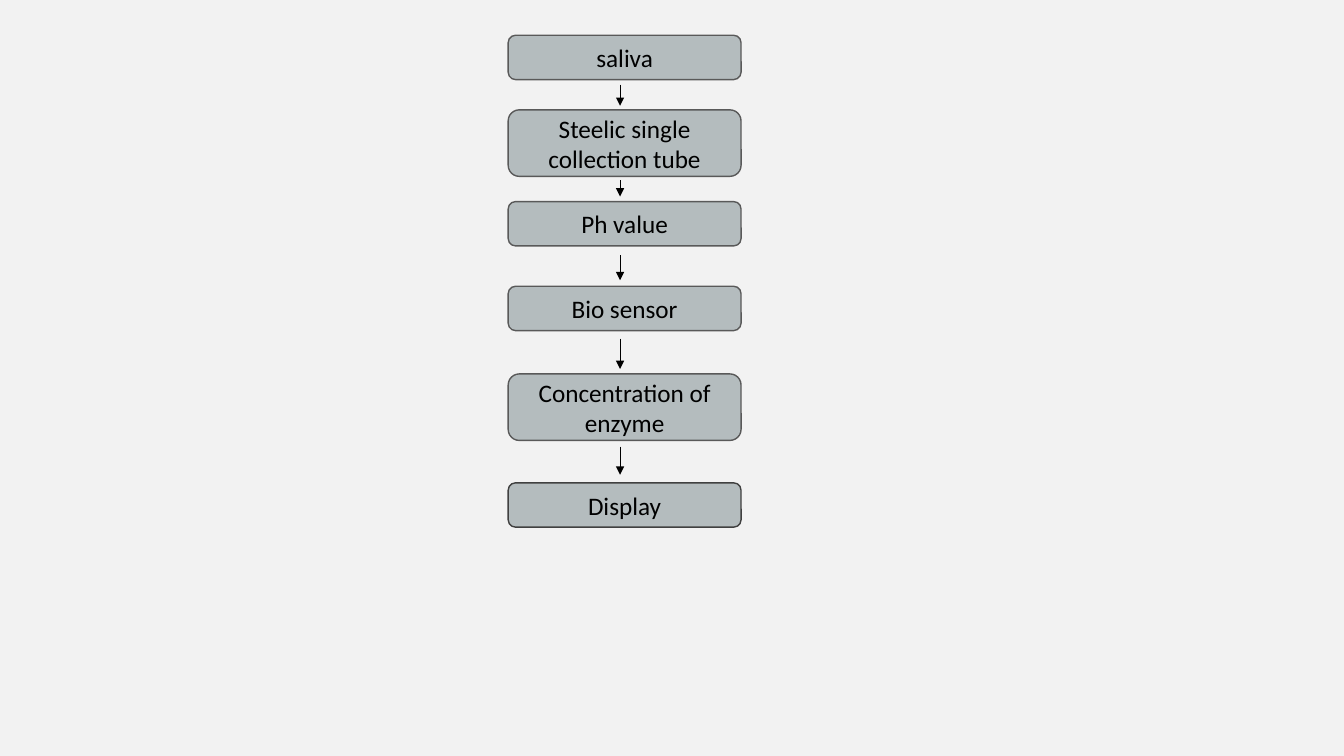
"""Build a slide with a vertical flow chart from saliva sample to display."""
from dataclasses import dataclass

from lxml.etree import SubElement
from pptx import Presentation
from pptx.dml.color import RGBColor
from pptx.enum.shapes import MSO_CONNECTOR, MSO_SHAPE
from pptx.enum.text import MSO_ANCHOR, PP_ALIGN
from pptx.oxml.ns import qn
from pptx.util import Inches, Pt


@dataclass(frozen=True)
class Theme:
    background: RGBColor = RGBColor.from_string("F2F2F2")
    step_fill: RGBColor = RGBColor.from_string("B4BCBE")
    step_line: RGBColor = RGBColor.from_string("595959")
    last_line: RGBColor = RGBColor.from_string("404040")
    ink: RGBColor = RGBColor.from_string("000000")
    font: str = "Calibri"
    text_size: Pt = Pt(18)
    step_width: Pt = Pt(1)
    arrow_width: Pt = Pt(0.5)


theme = Theme()
presentation = Presentation()
presentation.slide_width = Inches(13.33)
presentation.slide_height = Inches(7.5)
slide = presentation.slides.add_slide(presentation.slide_layouts[6])
slide.background.fill.solid()
slide.background.fill.fore_color.rgb = theme.background

STEP_LEFT, STEP_WIDTH = 5.04, 2.31
ONE_LINE, TWO_LINES = 0.44, 0.66
ARROW_X = 6.15

steps = [
    ("saliva", 0.35, ONE_LINE, theme.step_line),
    ("Steelic single collection tube", 1.09, TWO_LINES, theme.step_line),
    ("Ph value", 2.0, ONE_LINE, theme.step_line),
    ("Bio sensor", 2.84, ONE_LINE, theme.step_line),
    ("Concentration of enzyme", 3.71, TWO_LINES, theme.step_line),
    ("Display", 4.79, ONE_LINE, theme.last_line),
]
for label, top, height, line_color in steps:
    step = slide.shapes.add_shape(
        MSO_SHAPE.ROUNDED_RECTANGLE,
        Inches(STEP_LEFT), Inches(top), Inches(STEP_WIDTH), Inches(height),
    )
    step.shadow.inherit = False
    step.fill.solid()
    step.fill.fore_color.rgb = theme.step_fill
    step.line.color.rgb = line_color
    step.line.width = theme.step_width
    step.text_frame.word_wrap = True
    step.text_frame.margin_top = step.text_frame.margin_bottom = 0
    step.text_frame.vertical_anchor = MSO_ANCHOR.MIDDLE
    caption = step.text_frame.paragraphs[0]
    caption.text = label
    caption.alignment = PP_ALIGN.CENTER
    caption.font.name = theme.font
    caption.font.size = theme.text_size
    caption.font.color.rgb = theme.ink

arrow_spans = [(0.84, 1.05), (1.79, 1.95), (2.53, 2.78), (3.36, 3.66), (4.43, 4.71)]
for start, end in arrow_spans:
    arrow = slide.shapes.add_connector(
        MSO_CONNECTOR.STRAIGHT,
        Inches(ARROW_X), Inches(start), Inches(ARROW_X), Inches(end),
    )
    arrow.line.color.rgb = theme.ink
    arrow.line.width = theme.arrow_width
    SubElement(arrow.line._get_or_add_ln(), qn("a:tailEnd"), type="triangle")
    SubElement(arrow._element.spPr, qn("a:effectLst"))

presentation.save("out.pptx")
